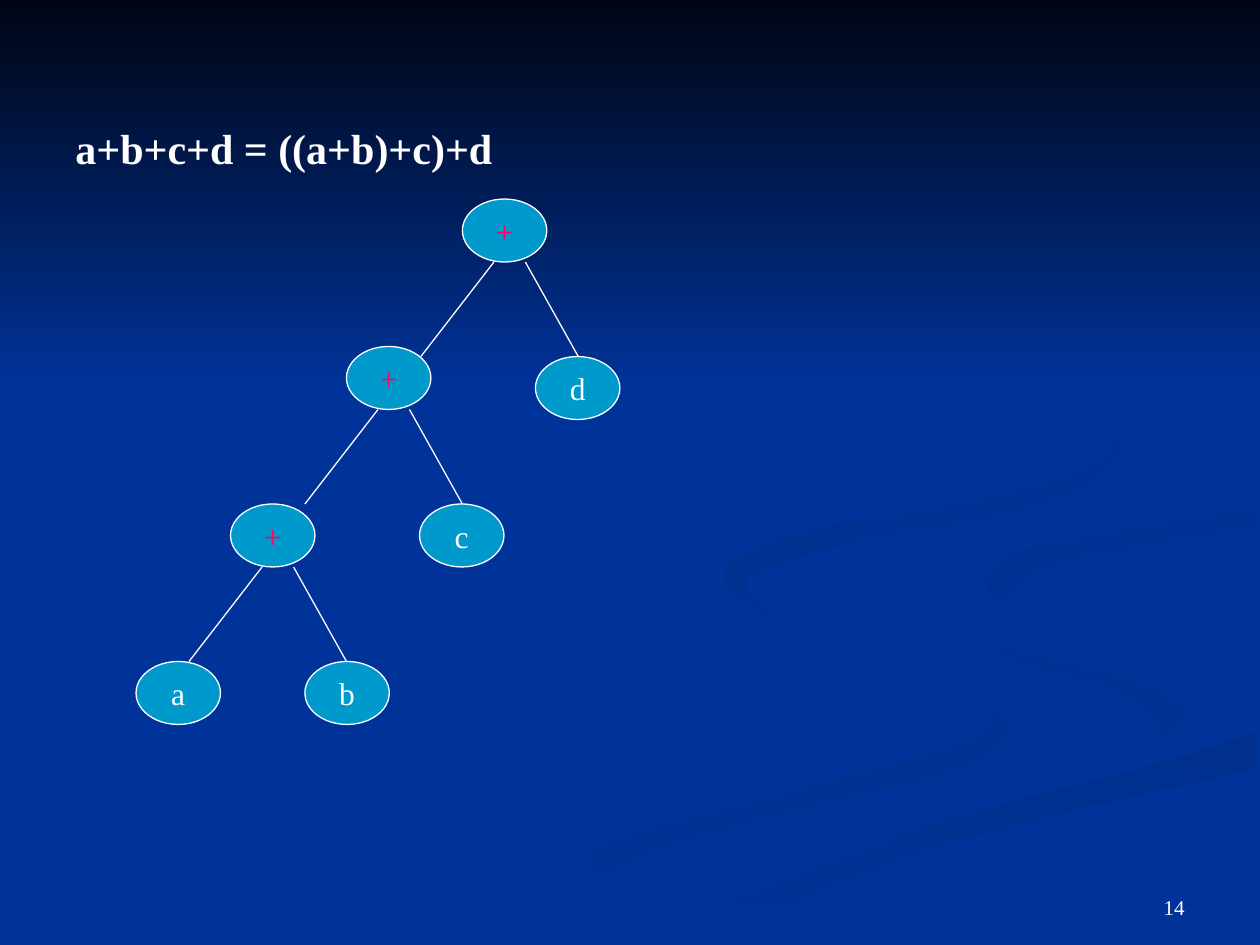
"""Build a slide showing the expression tree of a+b+c+d on a blue ribbon background."""
from dataclasses import dataclass

from lxml import etree
from pptx import Presentation
from pptx.dml.color import RGBColor
from pptx.enum.shapes import MSO_CONNECTOR, MSO_SHAPE
from pptx.enum.text import MSO_ANCHOR, PP_ALIGN
from pptx.oxml.ns import qn
from pptx.util import Pt

STRAIGHT = MSO_CONNECTOR.STRAIGHT
ELLIPSE, RECTANGLE = MSO_SHAPE.OVAL, MSO_SHAPE.RECTANGLE
MIDDLE, BOTTOM, TOP = MSO_ANCHOR.MIDDLE, MSO_ANCHOR.BOTTOM, MSO_ANCHOR.TOP
LEFT, CENTER, RIGHT = PP_ALIGN.LEFT, PP_ALIGN.CENTER, PP_ALIGN.RIGHT
PX = 9144
CURVE_STEPS = 6


@dataclass(frozen=True)
class Theme:
    font: str = "Times New Roman"
    background: str = "003399"
    night: str = "000514"
    pale_shade: str = "003193"
    bend_shade: str = "003091"
    deep_shade: str = "002F8C"
    node: str = "0099CC"
    operator: str = "FF0066"
    text: str = "FFFFFF"
    title_size: int = 24
    node_size: int = 18
    number_size: int = 12
    line_width: float = 0.75


THEME = Theme()
SLIDE_SIZE = (1000, 750)
NIGHT_BAND = (0, 0, 1000, 308)
TITLE = ("a+b+c+d = ((a+b)+c)+d", (50, 92, 533, 50))
PAGE_NUMBER = ("14", (717, 683, 233, 52))

NODE_SIZE = (67, 50)
OPERATORS = [(183, 400), (275, 275), (367, 158)]
OPERANDS = [("a", 108, 525), ("b", 242, 525), ("c", 333, 400), ("d", 425, 283)]
BRANCHES = [((25, 50), (-33, 125)), ((50, 50), (92, 125))]

HOOK = [(724, 464), (745, 490), (811, 515), (905, 540), (943, 570), (894, 605)]
STREAM = [(503, 749), (630, 693), (764, 647), (903, 610), (998, 581)]
BEND = [(998, 402), (898, 418), (810, 437), (781, 460)]
RIBBONS = [
    (THEME.background, THEME.pale_shade, 0, [
        [(575, 459), (587, 481), (642, 507), (715, 528), (781, 553), (800, 581),
         (769, 609), (676, 634), (532, 674), (361, 749)],
        [(300, 749), (376, 707), (499, 661), (652, 620), (759, 590), (786, 566),
         (762, 547), (679, 519), (602, 495), (570, 470)]]),
    (THEME.background, THEME.pale_shade, 45, [
        HOOK, [(894, 605), (918, 581), (892, 553), (797, 524), (739, 494), (724, 464)]]),
    (THEME.deep_shade, THEME.background, 90, [
        STREAM, [(998, 609), (785, 661), (649, 710), (571, 749)]]),
    (THEME.background, THEME.background, 0, [
        HOOK, [(894, 605), (743, 643), (619, 684), (477, 749)], STREAM,
        [(998, 538), (904, 519), (817, 492), (781, 460)], BEND[::-1],
        [(998, 387), (874, 408), (755, 432), (724, 464)]]),
    (THEME.bend_shade, THEME.background, 45, [
        BEND, [(781, 460), (791, 478), (826, 496)],
        [(826, 496), (805, 474), (843, 448), (998, 420)]]),
    (THEME.deep_shade, THEME.background, 45, [
        [(762, 233), (864, 291), (894, 344), (867, 384), (786, 412), (683, 430),
         (606, 452), (593, 470), (622, 500)],
        [(622, 500), (577, 462), (589, 441), (649, 420), (763, 398), (861, 370),
         (889, 335), (876, 306), (826, 266), (762, 233)]]),
]


def rgb(color):
    return RGBColor.from_string(color)


def scaled(*lengths):
    return [length * PX for length in lengths]


def spline(a, b, c, d, t):
    return b + t * (c - a + t * (2 * a - 5 * b + 4 * c - d + t * (3 * (b - c) + d - a))) / 2


def smooth(edge):
    padded = [edge[0], *edge, edge[-1]]
    curve = [
        tuple(round(spline(*axis, step / CURVE_STEPS)) for axis in zip(*padded[i:i + 4]))
        for i in range(len(edge) - 1)
        for step in range(CURVE_STEPS)
    ]
    return curve + [edge[-1]]


def paint(area, start, end, angle):
    area.shadow.inherit = False
    area.line.fill.background()
    if start == end:
        area.fill.solid()
        area.fill.fore_color.rgb = rgb(start)
        return
    area.fill.gradient()
    area.fill.gradient_angle = -angle % 360
    for stop, color in zip(area.fill.gradient_stops, (start, end)):
        stop.color.rgb = rgb(color)


def add_ribbon(shapes, start, end, angle, edges):
    outline = [point for edge in edges for point in smooth(edge)]
    builder = shapes.build_freeform(*outline[0], scale=float(PX))
    builder.add_line_segments(outline[1:], close=True)
    paint(builder.convert_to_shape(), start, end, angle)


def write(holder, text, size, align, anchor, color=THEME.text, bold=False, wrap=True):
    frame = holder.text_frame
    frame.word_wrap = wrap
    frame.vertical_anchor = anchor
    paragraph = frame.paragraphs[0]
    paragraph.text = text
    paragraph.alignment = align
    font = paragraph.font
    font.name, font.size, font.bold = THEME.font, Pt(size), bold
    font.color.rgb = rgb(color)


def add_node(shapes, label, left, top, color):
    node = shapes.add_shape(ELLIPSE, *scaled(left, top, *NODE_SIZE))
    node.shadow.inherit = False
    node.fill.solid()
    node.fill.fore_color.rgb = rgb(THEME.node)
    node.line.color.rgb = rgb(THEME.text)
    node.line.width = Pt(THEME.line_width)
    write(node, label, THEME.node_size, CENTER, MIDDLE, color, wrap=False)


def add_branch(shapes, left, top, start, end):
    ends = [left + start[0], top + start[1], left + end[0], top + end[1]]
    branch = shapes.add_connector(STRAIGHT, *scaled(*ends))
    branch.line.color.rgb = rgb(THEME.text)
    branch.line.width = Pt(THEME.line_width)
    etree.SubElement(branch._element.spPr, qn("a:effectLst"))


def main():
    deck = Presentation()
    deck.slide_width, deck.slide_height = scaled(*SLIDE_SIZE)
    slide = deck.slides.add_slide(deck.slide_layouts[6])
    slide.background.fill.solid()
    slide.background.fill.fore_color.rgb = rgb(THEME.background)
    shapes = slide.shapes
    for ribbon in RIBBONS:
        add_ribbon(shapes, *ribbon)
    night = shapes.add_shape(RECTANGLE, *scaled(*NIGHT_BAND))
    paint(night, THEME.night, THEME.background, 90)
    number, number_area = PAGE_NUMBER
    write(shapes.add_textbox(*scaled(*number_area)), number, THEME.number_size, RIGHT, BOTTOM)
    title, title_area = TITLE
    write(shapes.add_textbox(*scaled(*title_area)), title, THEME.title_size, LEFT, TOP, bold=True)
    for left, top in OPERATORS:
        add_node(shapes, "+", left, top, THEME.operator)
        for start, end in BRANCHES:
            add_branch(shapes, left, top, start, end)
    for label, left, top in OPERANDS:
        add_node(shapes, label, left, top, THEME.text)
    deck.save("out.pptx")


if __name__ == "__main__":
    main()
